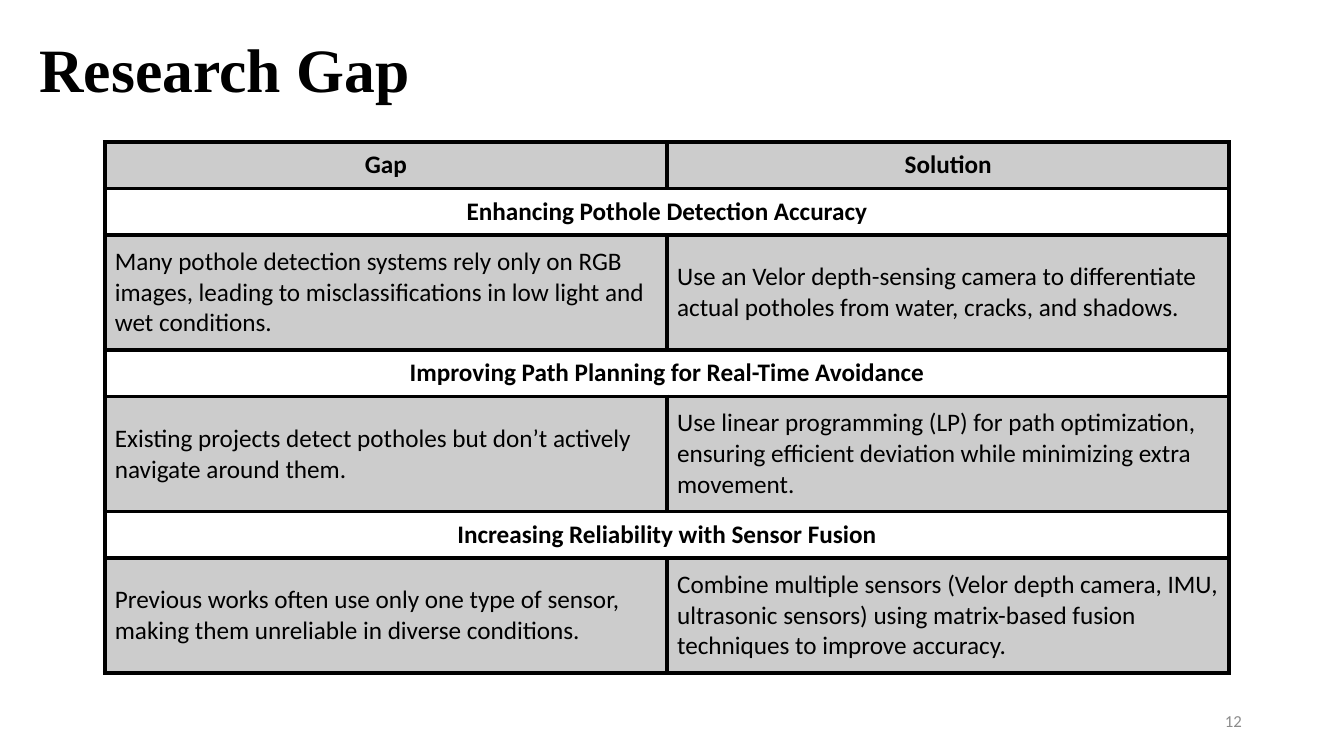
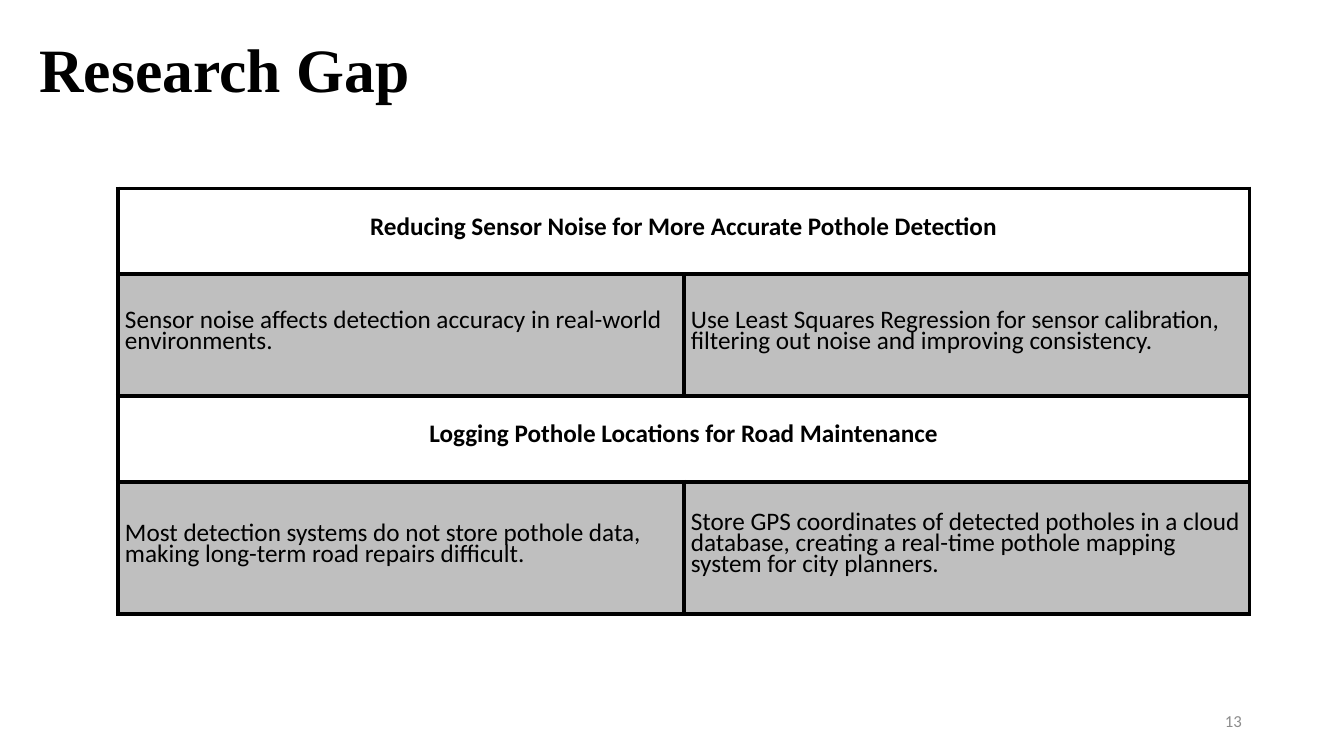
import pptx
import pptx.dml.color
import pptx.enum.text
import pptx.oxml
import pptx.oxml.ns
import pptx.util
from pptx.dml.color import RGBColor
from pptx.enum.text import MSO_ANCHOR, MSO_AUTO_SIZE, PP_ALIGN
from pptx.util import Cm

BLACK = RGBColor(0x00, 0x00, 0x00)
WHITE = RGBColor(0xFF, 0xFF, 0xFF)
LIGHT_GRAY = RGBColor(0xCC, 0xCC, 0xCC)
MID_GRAY = RGBColor(0xBF, 0xBF, 0xBF)
PAGE_GRAY = RGBColor(0x8C, 0x8C, 0x8C)

BODY_FONT = "Calibri"
TITLE_FONT = "Times New Roman"
BORDER_POINTS = 3
TITLE_ONLY_LAYOUT = 5

# Boxes shared by the slides: left, top, width, height
TITLE_BOX = (Cm(0.74), Cm(0.64), Cm(20.22), Cm(2.13))
PAGE_BOX = (Cm(23.93), Cm(17.65), Cm(7.62), Cm(1.02))

# Table rows: one text is a merged heading, two texts are gap and solution
GAP_ROWS = [
    ("Gap", "Solution"),
    ("Enhancing Pothole Detection Accuracy",),
    ("Many pothole detection systems rely only on RGB images, leading to "
     "misclassifications in low light and wet conditions.",
     "Use an Velor depth-sensing camera to differentiate actual potholes "
     "from water, cracks, and shadows."),
    ("Improving Path Planning for Real-Time Avoidance",),
    ("Existing projects detect potholes but don’t actively navigate around them.",
     "Use linear programming (LP) for path optimization, ensuring efficient "
     "deviation while minimizing extra movement."),
    ("Increasing Reliability with Sensor Fusion",),
    ("Previous works often use only one type of sensor, making them "
     "unreliable in diverse conditions.",
     "Combine multiple sensors (Velor depth camera, IMU, ultrasonic sensors) "
     "using matrix-based fusion techniques to improve accuracy."),
]
MORE_GAP_ROWS = [
    ("Reducing Sensor Noise for More Accurate Pothole Detection",),
    ("Sensor noise affects detection accuracy in real-world environments.",
     "Use Least Squares Regression for sensor calibration, filtering out "
     "noise and improving consistency."),
    ("Logging Pothole Locations for Road Maintenance",),
    ("Most detection systems do not store pothole data, making long-term "
     "road repairs difficult.",
     "Store GPS coordinates of detected potholes in a cloud database, "
     "creating a real-time pothole mapping system for city planners."),
]


def write_text(text_frame, text, *, size=18, font=BODY_FONT, color=BLACK,
               bold=False, align=PP_ALIGN.LEFT, line_points=None):
    """Put one formatted paragraph into a text frame."""
    text_frame.word_wrap = True
    paragraph = text_frame.paragraphs[0]
    paragraph.alignment = align
    if line_points:
        paragraph.line_spacing = pptx.util.Pt(line_points)
    run = paragraph.add_run()
    run.text = text
    run.font.name = font
    run.font.size = pptx.util.Pt(size)
    run.font.bold = bold
    run.font.color.rgb = color


def add_borders(cell):
    """Draw a solid black line on all four sides of a cell."""
    properties = cell._tc.get_or_add_tcPr()
    width = pptx.util.Pt(BORDER_POINTS)
    for index, side in enumerate(("lnL", "lnR", "lnT", "lnB")):
        line = pptx.oxml.parse_xml(
            f'<a:{side} {pptx.oxml.ns.nsdecls("a")} w="{width}">'
            f'<a:solidFill><a:srgbClr val="{BLACK}"/></a:solidFill></a:{side}>')
        properties.insert(index, line)


def add_gap_table(slide, box, rows, row_heights, *, fill, has_header=False,
                  margins=None, line_points=None):
    """Fill the box with a two-column table of gaps and solutions."""
    table = slide.shapes.add_table(len(rows), 2, *box).table
    table.first_row = False
    table.horz_banding = False
    for column in table.columns:
        column.width = box[2] // 2

    for row_index, texts in enumerate(rows):
        table.rows[row_index].height = row_heights[row_index]
        is_heading = len(texts) == 1
        is_strong = is_heading or (has_header and row_index == 0)
        cells = [table.cell(row_index, column) for column in range(2)]
        if is_heading:
            cells[0].merge(cells[1])
        for cell in cells:
            cell.fill.solid()
            cell.fill.fore_color.rgb = WHITE if is_heading else fill
            add_borders(cell)
        for cell, text in zip(cells, texts):
            cell.vertical_anchor = MSO_ANCHOR.MIDDLE
            if margins:
                cell.margin_left = cell.margin_right = margins[0]
                cell.margin_top = cell.margin_bottom = margins[1]
            write_text(cell.text_frame, text, bold=is_strong,
                       align=PP_ALIGN.CENTER if is_strong else PP_ALIGN.LEFT,
                       line_points=line_points)


def add_titled_slide(presentation, title, page_number):
    """Add a slide with the shared title and page number."""
    slide = presentation.slides.add_slide(
        presentation.slide_layouts[TITLE_ONLY_LAYOUT])

    # Title
    shape = slide.shapes.title
    shape.left, shape.top, shape.width, shape.height = TITLE_BOX
    shape.text_frame.auto_size = MSO_AUTO_SIZE.NONE
    shape.text_frame.vertical_anchor = MSO_ANCHOR.TOP
    write_text(shape.text_frame, title, size=44, font=TITLE_FONT, bold=True)

    # Page number
    text_frame = slide.shapes.add_textbox(*PAGE_BOX).text_frame
    text_frame.vertical_anchor = MSO_ANCHOR.MIDDLE
    write_text(text_frame, str(page_number), size=12, color=PAGE_GRAY,
               align=PP_ALIGN.RIGHT)
    return slide


def main():
    presentation = pptx.Presentation()
    presentation.slide_width = Cm(33.87)
    presentation.slide_height = Cm(19.05)

    # Gaps in detection, planning and fusion
    slide = add_titled_slide(presentation, "Research Gap", 12)
    heading_height, body_height = Cm(1.17), Cm(2.9)
    add_gap_table(slide, (Cm(2.64), Cm(3.58), Cm(28.34), Cm(13.38)), GAP_ROWS,
                  [heading_height] + [heading_height, body_height] * 3,
                  fill=LIGHT_GRAY, has_header=True)

    # Gaps in calibration and logging
    slide = add_titled_slide(presentation, "Research Gap", 13)
    heading_height = Cm(2.16)
    add_gap_table(slide, (Cm(2.97), Cm(4.75), Cm(28.52), Cm(10.72)),
                  MORE_GAP_ROWS,
                  [heading_height, Cm(3.07), heading_height, Cm(3.33)],
                  fill=MID_GRAY, margins=(Cm(0.18), Cm(0.08)), line_points=15)

    presentation.save("out.pptx")


if __name__ == "__main__":
    main()
